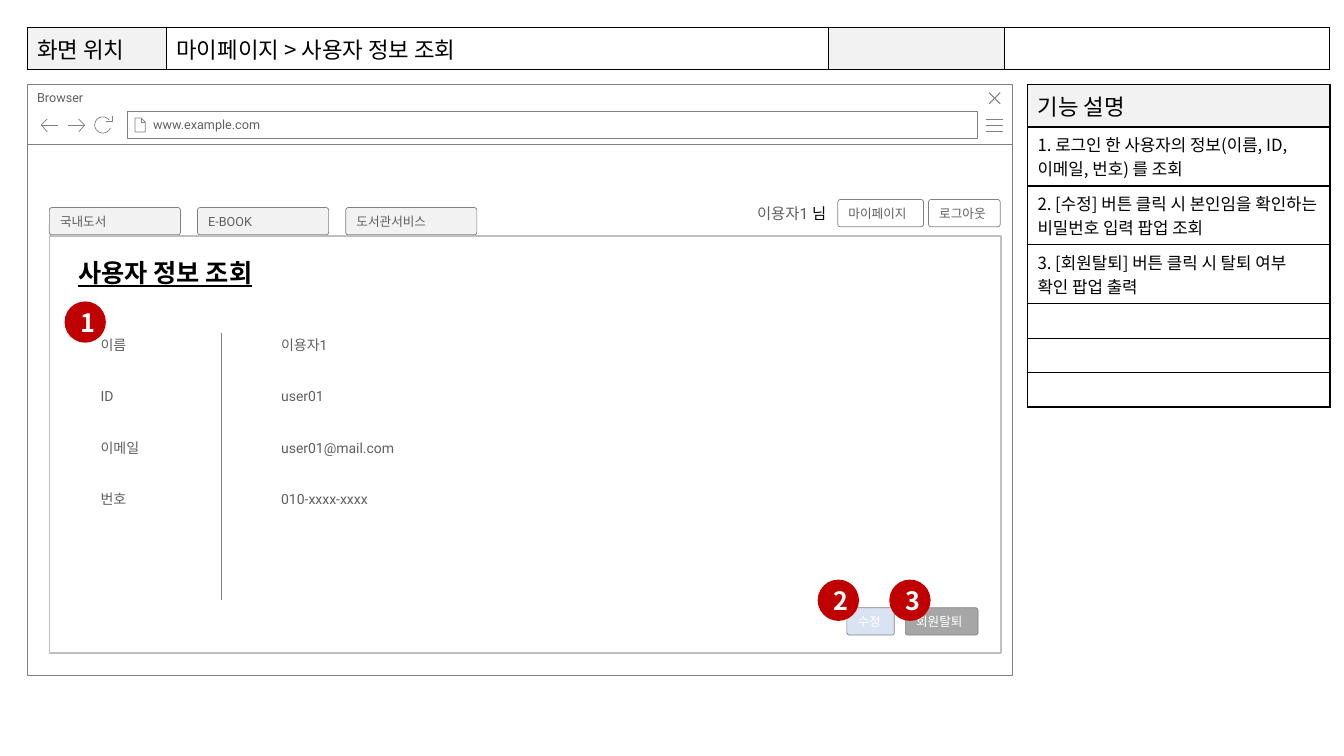
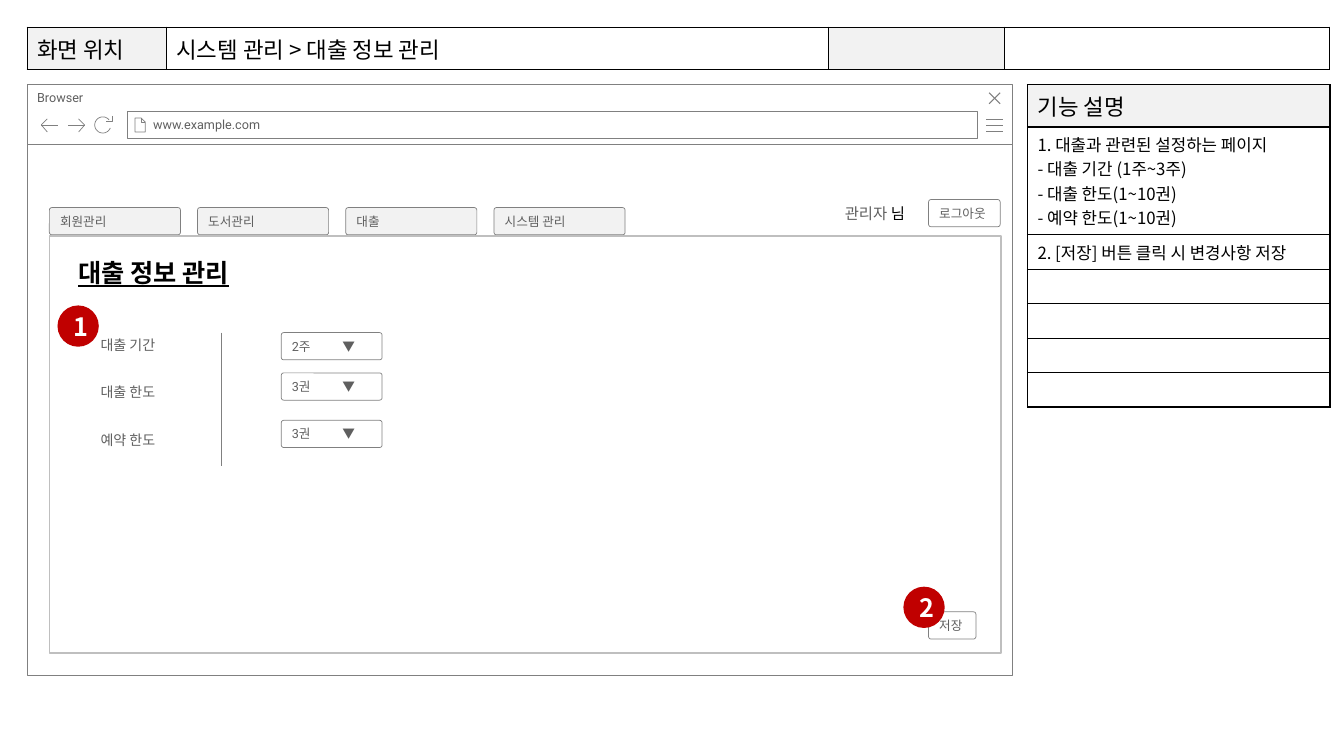
from math import cos, radians, sin

from lxml.etree import SubElement
from pptx import Presentation
from pptx.dml.color import RGBColor
from pptx.enum.shapes import MSO_CONNECTOR, MSO_SHAPE
from pptx.enum.text import MSO_ANCHOR, PP_ALIGN
from pptx.oxml.ns import qn
from pptx.util import Inches, Pt

BLACK = RGBColor(0x00, 0x00, 0x00)
WHITE = RGBColor(0xFF, 0xFF, 0xFF)
INK = RGBColor(0x5F, 0x5F, 0x5F)
GRAY = RGBColor(0x80, 0x80, 0x80)
SILVER = RGBColor(0xBF, 0xBF, 0xBF)
DARK = RGBColor(0xA6, 0xA6, 0xA6)
PALE = RGBColor(0xF2, 0xF2, 0xF2)
BLUE = RGBColor(0xDA, 0xE3, 0xF3)
RED = RGBColor(0xC0, 0x00, 0x00)
KOREAN = "Noto Sans CJK KR"
LATIN = "Roboto"
PANEL = (0.49, 2.34, 9.44, 4.14)
TAB_GAP = 1.47
LINE = 0.24


def set_font(font, size, color=INK, name=LATIN, bold=False):
    """Set a font, with Korean letters always in the Korean face."""
    font.size, font.bold, font.name = Pt(size), bold, name
    font.color.rgb = color
    SubElement(font._rPr, qn("a:ea"), typeface=KOREAN)


def add_box(shapes, kind, box, fill=None, line=GRAY, width=0.5):
    """Draw a preset shape without shadow."""
    shape = shapes.add_shape(kind, *map(Inches, box))
    shape.shadow.inherit = False
    if fill is None:
        shape.fill.background()
    else:
        shape.fill.solid()
        shape.fill.fore_color.rgb = fill
    if line is None:
        shape.line.fill.background()
    else:
        shape.line.color.rgb = line
        shape.line.width = Pt(width)
    return shape


def put_text(shape, text, size, anchor=MSO_ANCHOR.MIDDLE, color=INK, tab=None):
    """Write one left-aligned line into a shape."""
    frame = shape.text_frame
    frame.word_wrap, frame.vertical_anchor = True, anchor
    frame.margin_right = 0
    para = frame.paragraphs[0]
    para.text, para.alignment = text, PP_ALIGN.LEFT
    if tab:
        stops = SubElement(para._p.get_or_add_pPr(), qn("a:tabLst"))
        SubElement(stops, qn("a:tab"), pos=str(Inches(tab)), algn="l")
    set_font(para.font, size, color)
    return frame


def add_text(shapes, x, y, w, text, size=10):
    """Add a line of plain text."""
    area = shapes.add_textbox(Inches(x), Inches(y), Inches(w), Inches(0.27))
    return put_text(area, text, size, MSO_ANCHOR.TOP)


def add_button(shapes, x, y, w, text, fill=WHITE, color=INK, tab=None):
    """Draw a rounded button with its label."""
    shape = add_box(shapes, MSO_SHAPE.ROUNDED_RECTANGLE, (x, y, w, 0.27), fill)
    shape.adjustments[0] = 0.09
    put_text(shape, text, 9, color=color, tab=tab)


def add_badge(shapes, x, y, number):
    """Draw a numbered red marker."""
    shape = add_box(shapes, MSO_SHAPE.OVAL, (x, y, 0.41, 0.41), RED, None)
    para = shape.text_frame.paragraphs[0]
    para.text, para.alignment = str(number), PP_ALIGN.CENTER
    shape.text_frame.vertical_anchor = MSO_ANCHOR.MIDDLE
    shape.text_frame.word_wrap = True
    set_font(para.font, 18, WHITE, KOREAN, True)


def add_rule(shapes, x, top, end):
    """Draw a thin vertical divider."""
    rule = shapes.add_connector(MSO_CONNECTOR.STRAIGHT, Inches(x), Inches(top), Inches(x), Inches(end))
    rule.line.color.rgb, rule.line.width = GRAY, Pt(0.5)
    SubElement(rule._element.spPr, qn("a:effectLst"))


def add_icon(shapes, x, y, strokes, width=0.5):
    """Draw an outline icon from open strokes around a corner."""
    builder = None
    for stroke in strokes:
        first, *rest = [(Inches(x + a), Inches(y + b)) for a, b in stroke]
        if builder is None:
            builder = shapes.build_freeform(*first, scale=1.0)
        else:
            builder.move_to(*first)
        builder.add_line_segments(rest, close=False)
    icon = builder.convert_to_shape()
    icon.shadow.inherit = False
    icon.fill.background()
    icon.line.color.rgb, icon.line.width = GRAY, Pt(width)


def add_browser(shapes, x, y, w, h):
    """Draw the browser window with its address bar."""
    bar = 0.59
    add_box(shapes, MSO_SHAPE.RECTANGLE, (x, y + bar, w, h - bar), WHITE)
    top = add_box(shapes, MSO_SHAPE.RECTANGLE, (x, y, w, bar), WHITE)
    put_text(top, "Browser", 9, MSO_ANCHOR.TOP)
    field = add_box(shapes, MSO_SHAPE.RECTANGLE, (x + 0.99, y + 0.27, w - 1.34, 0.26), WHITE)
    put_text(field, "www.example.com", 9).margin_left = Inches(0.26)
    right, mid = x + w, y + 0.34
    add_icon(shapes, right - 0.26, mid, [[(0, b), (0.17, b)] for b in (0, 0.06, 0.12)])
    add_icon(shapes, right - 0.23, y + 0.08, [[(0, 0), (0.11, 0.11)], [(0.11, 0), (0, 0.11)]], 0.75)
    sheet = [(0.06, 0), (0, 0), (0, 0.14), (0.1, 0.14), (0.1, 0.04), (0.06, 0)]
    add_icon(shapes, x + 1.07, y + 0.33, [sheet, [(0.06, 0), (0.06, 0.04), (0.1, 0.04)]])
    arrow = [[(0.06, 0.13), (0, 0.06), (0.06, 0)], [(0, 0.06), (0.17, 0.06)]]
    add_icon(shapes, x + 0.14, mid, arrow)
    add_icon(shapes, x + 0.4, mid, [[(0.17 - a, b) for a, b in stroke] for stroke in arrow])
    curve = [(0.08 * cos(radians(d)), 0.08 * sin(radians(d))) for d in range(22, 332, 10)]
    add_icon(shapes, x + 0.75, y + 0.4, [curve, [(0.09, -0.09), (0.09, -0.04), (0.03, -0.04)]])


def set_cell(cell, text, size, fill=None):
    """Write and style one bordered table cell."""
    props = cell._tc.get_or_add_tcPr()
    for side in ("lnL", "lnR", "lnT", "lnB"):
        edge = SubElement(props, qn(f"a:{side}"), w=str(Pt(1)))
        paint = SubElement(edge, qn("a:solidFill"))
        SubElement(paint, qn("a:srgbClr"), val=str(BLACK))
    if fill is None:
        cell.fill.background()
    else:
        cell.fill.solid()
        cell.fill.fore_color.rgb = fill
    cell.text = text
    for para in cell.text_frame.paragraphs:
        set_font(para.font, size, BLACK, KOREAN)
        if not text:
            SubElement(para._p, qn("a:endParaRPr"), sz=str(size * 100))


def add_grid(shapes, x, y, widths, heights):
    """Add an unbanded table with given columns and rows."""
    size = map(Inches, (x, y, sum(widths), sum(heights)))
    table = shapes.add_table(len(heights), len(widths), *size).table
    table.first_row = table.horz_banding = False
    for col, width in zip(table.columns, widths):
        col.width = Inches(width)
    for row, height in zip(table.rows, heights):
        row.height = Inches(height)
    return table


def add_header(shapes, x, y, trail):
    """Add the band that names the screen."""
    table = add_grid(shapes, x, y, (1.38, 6.57, 1.74, 3.23), (0.42,))
    for i, text in enumerate(("화면 위치", trail, "", "")):
        set_cell(table.cell(0, i), text, 16, None if i % 2 else PALE)


def add_notes(shapes, x, y, notes):
    """Add the list of functions, filled up to seven rows."""
    texts = [text for text, _ in notes] + [""] * (6 - len(notes))
    lines = [count for _, count in notes] + [1] * (6 - len(notes))
    table = add_grid(shapes, x, y, (3,), [0.42] + [0.1 + LINE * n for n in lines])
    set_cell(table.cell(0, 0), "기능 설명", 16, PALE)
    for i, text in enumerate(texts, 1):
        set_cell(table.cell(i, 0), text, 12)


def add_panel(shapes, box, title, tabs, user, start):
    """Draw the content panel with tabs, user line and title."""
    x, y = box[:2]
    for i, tab in enumerate(tabs):
        add_button(shapes, x + i * TAB_GAP, y - 0.28, 1.3, tab, PALE)
    add_button(shapes, x + 8.72, y - 0.36, 0.71, "로그아웃")
    frame = add_text(shapes, x + start, y - 0.36, 0.99, "", 11)
    for text, color, name in ((user + " ", INK, LATIN), ("님", BLACK, KOREAN)):
        run = frame.paragraphs[0].add_run()
        run.text = text
        set_font(run.font, 11, color, name)
    add_box(shapes, MSO_SHAPE.RECTANGLE, box, None, SILVER, 1)
    head = add_text(shapes, x + 0.19, y + 0.16, 2.3, "", 18)
    run = head.paragraphs[0].add_run()
    run.text = title
    set_font(run.font, 18, BLACK, KOREAN, True)
    run.font.underline = True


def add_page(deck, trail, notes, title, tabs, user, start):
    """Start a slide with all the parts that screens share."""
    shapes = deck.slides.add_slide(deck.slide_layouts[6]).shapes
    add_browser(shapes, 0.27, 0.84, 9.77, 5.86)
    add_notes(shapes, 10.19, 0.84, notes)
    add_header(shapes, 0.27, 0.27, trail)
    add_panel(shapes, PANEL, title, tabs, user, start)
    return shapes


def fill_user(shapes, x, y):
    """Place the user details in the panel."""
    add_button(shapes, x + 7.82, y - 0.36, 0.85, "마이페이지")
    add_rule(shapes, x + 1.71, y + 0.96, y + 3.61)
    pairs = (("이름", "이용자1"), ("ID", "user01"), ("이메일", "user01@mail.com"), ("번호", "010-xxxx-xxxx"))
    for i, (label, value) in enumerate(pairs):
        top = y + 0.95 + i * 0.51
        add_text(shapes, x + 0.41, top, 0.84, label)
        add_text(shapes, x + 2.2, top, 1.42, value)
    add_button(shapes, x + 7.91, y + 3.69, 0.47, "수정", BLUE, WHITE)
    add_button(shapes, x + 8.49, y + 3.69, 0.72, "회원탈퇴", DARK, WHITE)
    for i, (left, top) in enumerate(((0.15, 0.65), (7.62, 3.41), (8.33, 3.41)), 1):
        add_badge(shapes, x + left, y + top, i)


def fill_loan(shapes, x, y):
    """Place the loan settings in the panel."""
    add_rule(shapes, x + 1.71, y + 0.96, y + 2.28)
    rows = (("대출 기간", "2주", 0.96), ("대출 한도", "3권", 1.36), ("예약 한도", "3권", 1.83))
    for i, (label, value, top) in enumerate(rows):
        add_text(shapes, x + 0.41, y + 0.95 + i * 0.47, 0.84, label)
        add_button(shapes, x + 2.3, y + top, 1, f"{value}\t▼", tab=0.5)
    add_button(shapes, x + 8.72, y + 3.73, 0.47, "저장")
    add_badge(shapes, x + 0.08, y + 0.69, 1)
    add_badge(shapes, x + 8.47, y + 3.48, 2)


def main():
    """Build and save both screens."""
    deck = Presentation()
    deck.slide_width, deck.slide_height = Inches(13.33), Inches(7.5)
    notes = [
        ("1. 로그인 한 사용자의 정보(이름, ID, 이메일, 번호) 를 조회", 2),
        ("2. [수정] 버튼 클릭 시 본인임을 확인하는 비밀번호 입력 팝업 조회", 2),
        ("3. [회원탈퇴] 버튼 클릭 시 탈퇴 여부 확인 팝업 출력", 2),
    ]
    tabs = ("국내도서", "E-BOOK", "도서관서비스")
    page = add_page(deck, "마이페이지 > 사용자 정보 조회", notes, "사용자 정보 조회", tabs, "이용자1", 6.92)
    fill_user(page, *PANEL[:2])
    loan = "1. 대출과 관련된 설정하는 페이지\n- 대출 기간 (1주~3주)\n- 대출 한도(1~10권)\n- 예약 한도(1~10권)"
    notes = [(loan, 4), ("2. [저장] 버튼 클릭 시 변경사항 저장", 1)]
    tabs = ("회원관리", "도서관리", "대출", "시스템 관리")
    page = add_page(deck, "시스템 관리 > 대출 정보 관리", notes, "대출 정보 관리", tabs, "관리자", 7.79)
    fill_loan(page, *PANEL[:2])
    deck.save("out.pptx")


if __name__ == "__main__":
    main()
